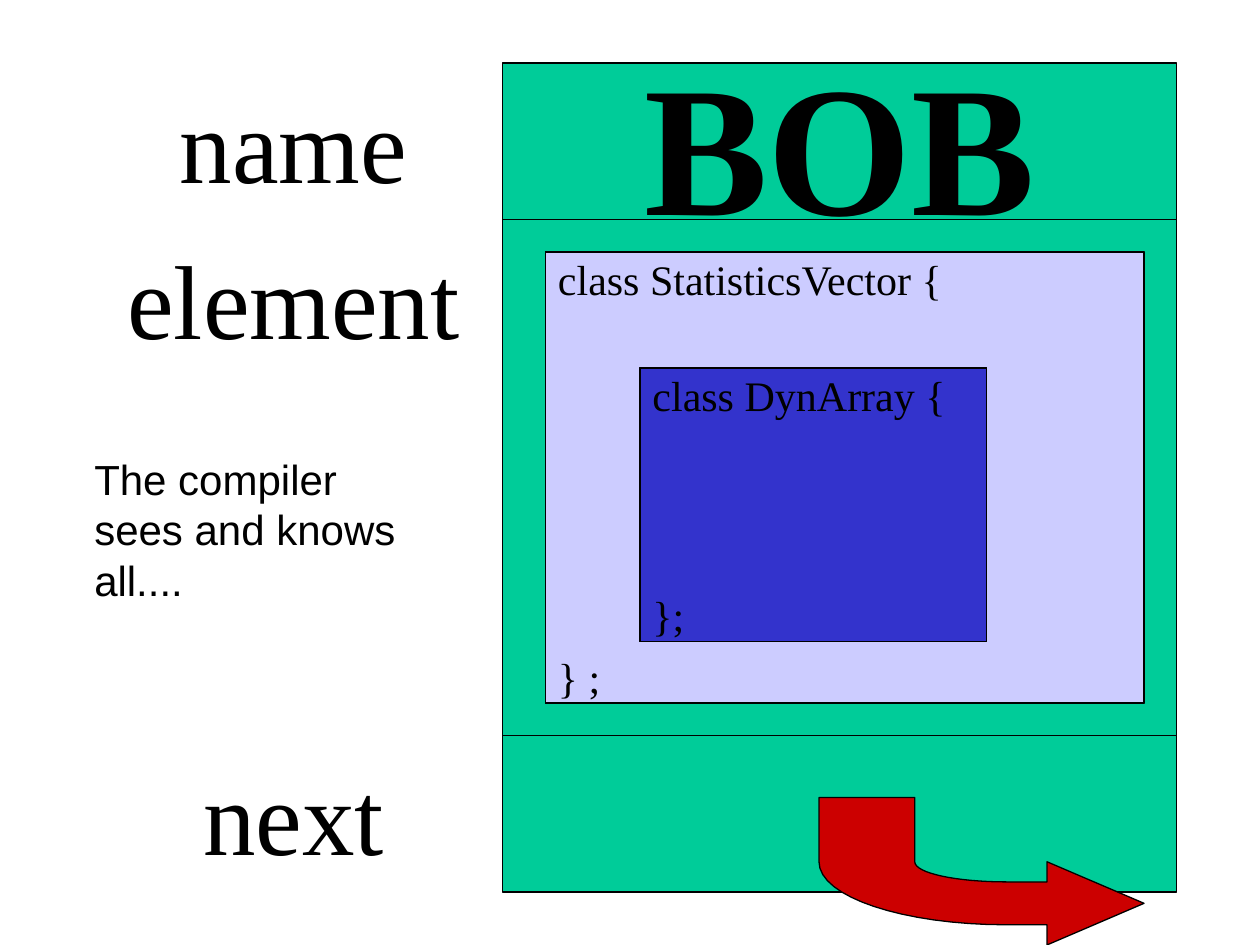
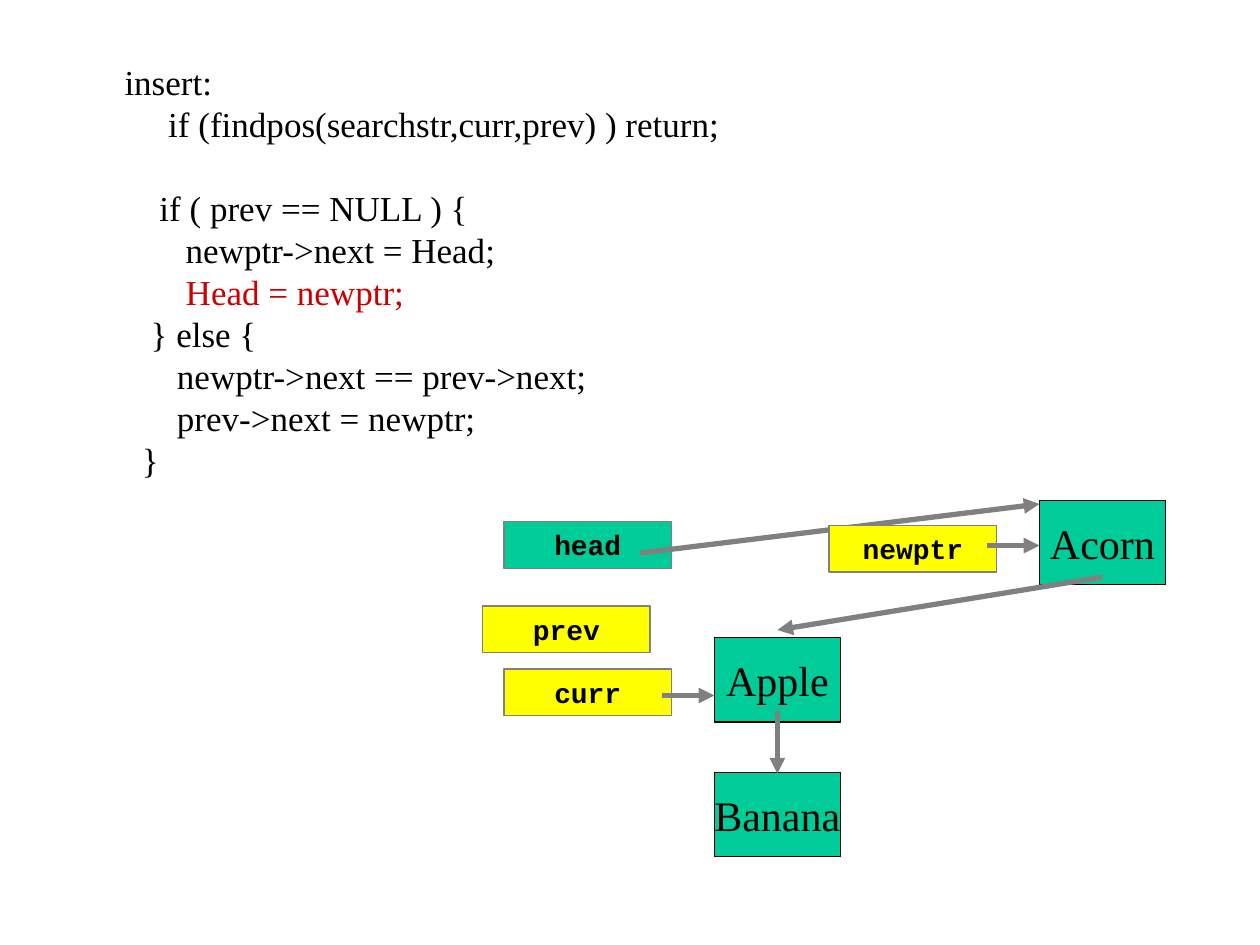
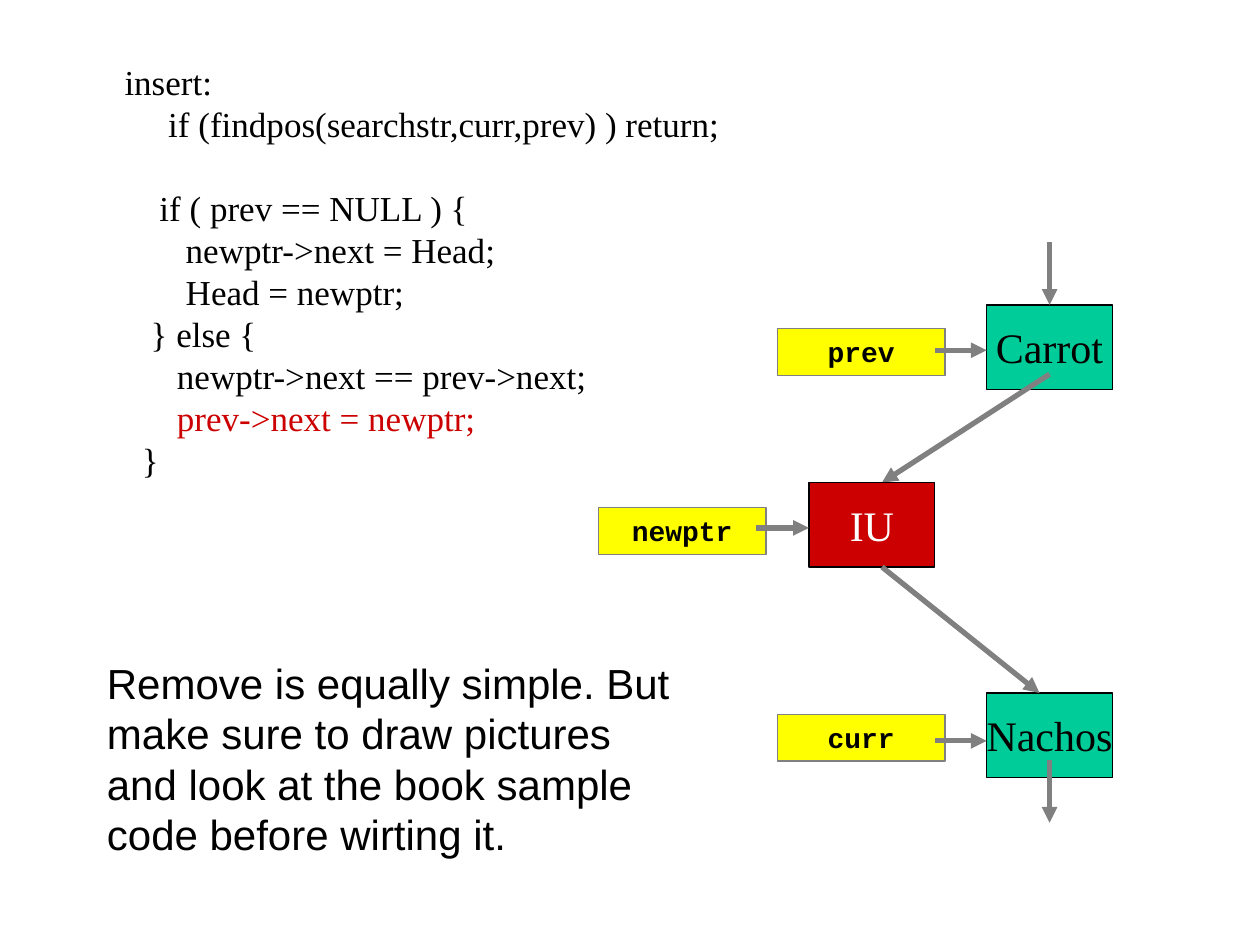
from dataclasses import dataclass

from lxml.etree import SubElement
from pptx import Presentation
from pptx.dml.color import RGBColor
from pptx.enum.shapes import MSO_CONNECTOR, MSO_SHAPE
from pptx.enum.text import MSO_ANCHOR, MSO_AUTO_SIZE, PP_ALIGN
from pptx.oxml.ns import qn
from pptx.shapes.base import BaseShape
from pptx.shapes.shapetree import GroupShapes, SlideShapes
from pptx.slide import Slide
from pptx.util import Inches, Pt

GREEN = "00CC99"
YELLOW = "FFFF00"
RED = "CC0000"
LAVENDER = "CCCCFF"
BLUE = "3333CC"
GRAY = "808080"
BLACK = "000000"
WHITE = "FFFFFF"

SERIF = "Times New Roman"
SANS = "Arial"
MONO = "Courier New"
LINE_HEIGHT = 1.2

Point = tuple[float, float]
ShapeTree = SlideShapes | GroupShapes


@dataclass(frozen=True)
class Area:
    left: float
    top: float
    width: float
    height: float


@dataclass(frozen=True)
class TextStyle:
    size: float
    font: str = SERIF
    color: str = BLACK
    bold: bool = False
    align: PP_ALIGN = PP_ALIGN.LEFT
    anchor: MSO_ANCHOR = MSO_ANCHOR.MIDDLE
    wrap: bool = True
    grow: bool = False


@dataclass(frozen=True)
class Node:
    text: str
    left: float
    top: float
    fill: str = GREEN
    color: str = BLACK


@dataclass(frozen=True)
class Pointer:
    name: str
    left: float
    top: float
    fill: str = YELLOW


@dataclass(frozen=True)
class Arrow:
    start: Point
    end: Point


FIELD_NAME = TextStyle(60, align=PP_ALIGN.CENTER, wrap=False)
BIG_NAME = TextStyle(106, bold=True, align=PP_ALIGN.CENTER, wrap=False)
CLASS_LINE = TextStyle(24)
REMARK = TextStyle(24, SANS, anchor=MSO_ANCHOR.TOP, grow=True)
CODE = TextStyle(20, anchor=MSO_ANCHOR.TOP, wrap=False, grow=True)
POINTER_NAME = TextStyle(16, MONO, bold=True, align=PP_ALIGN.CENTER,
                         anchor=MSO_ANCHOR.TOP, grow=True)

INSERT_CODE = """insert:
     if (findpos(searchstr,curr,prev) ) return;

    if ( prev == NULL ) {
       newptr->next = Head;
       Head = newptr;
   } else {
      newptr->next == prev->next;
      prev->next = newptr;
  }"""

ACORN_LIST = [
    Node("Banana", 5.67, 6.13),
    Node("Apple", 5.67, 5.06),
    Pointer("head", 4, 4.14, GREEN),
    Arrow((5.08, 4.39), (8.25, 4)),
    Arrow((6.17, 5.64), (6.17, 6.14)),
    Pointer("prev", 3.83, 4.81),
    Pointer("curr", 4, 5.31),
    Arrow((5.25, 5.52), (5.67, 5.52)),
    Node("Acorn", 8.25, 3.97),
    Pointer("newptr", 6.58, 4.17),
    Arrow((7.83, 4.33), (8.25, 4.33)),
    Arrow((8.75, 4.58), (6.17, 5)),
]

CARROT_LIST = [
    Node("Nachos", 7.83, 5.5),
    Node("Carrot", 7.83, 2.42),
    Pointer("prev", 6.17, 2.61),
    Arrow((8.33, 6.03), (8.33, 6.53)),
    Arrow((8.33, 1.92), (8.33, 2.42)),
    Arrow((8.33, 2.97), (7, 3.83)),
    Pointer("curr", 6.17, 5.67),
    Arrow((7.42, 5.88), (7.83, 5.88)),
    Arrow((7.42, 2.78), (7.83, 2.78)),
    Node("IU", 6.42, 3.83, RED, WHITE),
    Pointer("newptr", 4.75, 4.03),
    Arrow((6, 4.19), (6.42, 4.19)),
    Arrow((7, 4.5), (8.25, 5.5)),
]


def rgb(color: str) -> RGBColor:
    return RGBColor.from_string(color)


def place(area: Area) -> tuple:
    return (Inches(area.left), Inches(area.top),
            Inches(area.width), Inches(area.height))


def paint(shape: BaseShape, fill: str | None, line: str | None) -> None:
    shape.shadow.inherit = False
    if fill:
        shape.fill.solid()
        shape.fill.fore_color.rgb = rgb(fill)
    else:
        shape.fill.background()
    if line:
        shape.line.color.rgb = rgb(line)
        shape.line.width = Pt(0.75)
    else:
        shape.line.fill.background()


def write(shape: BaseShape, text: str, style: TextStyle) -> None:
    text_frame = shape.text_frame
    text_frame.text = text
    text_frame.word_wrap = style.wrap
    text_frame.vertical_anchor = style.anchor
    if style.grow:
        text_frame.auto_size = MSO_AUTO_SIZE.SHAPE_TO_FIT_TEXT
    for paragraph in text_frame.paragraphs:
        paragraph.alignment = style.align
        paragraph.line_spacing = Pt(style.size * LINE_HEIGHT)
        for run in paragraph.runs:
            run.font.name = style.font
            run.font.size = Pt(style.size)
            run.font.bold = style.bold
            run.font.color.rgb = rgb(style.color)


def add_box(shapes: ShapeTree, area: Area, fill: str | None,
            line: str | None = BLACK) -> BaseShape:
    shape = shapes.add_shape(MSO_SHAPE.RECTANGLE, *place(area))
    paint(shape, fill, line)
    return shape


def add_text(slide: Slide, area: Area, text: str, style: TextStyle) -> BaseShape:
    shape = slide.shapes.add_textbox(*place(area))
    write(shape, text, style)
    return shape


def add_arrow(slide: Slide, arrow: Arrow) -> None:
    ends = [Inches(value) for value in (*arrow.start, *arrow.end)]
    connector = slide.shapes.add_connector(MSO_CONNECTOR.STRAIGHT, *ends)
    connector.line.color.rgb = rgb(GRAY)
    connector.line.width = Pt(3)
    SubElement(connector.line._get_or_add_ln(), qn("a:tailEnd"), type="triangle")
    SubElement(connector._element.spPr, qn("a:effectLst"))


def add_list(slide: Slide, items: list[Node | Pointer | Arrow]) -> None:
    for item in items:
        if isinstance(item, Arrow):
            add_arrow(slide, item)
        elif isinstance(item, Node):
            box = add_box(slide.shapes, Area(item.left, item.top, 1, 0.67), item.fill)
            write(box, item.text, TextStyle(24, color=item.color,
                                            align=PP_ALIGN.CENTER, wrap=False))
        else:
            box = add_box(slide.shapes, Area(item.left, item.top, 1.33, 0.37),
                          item.fill, GRAY)
            write(box, item.name, POINTER_NAME)


def add_insert_code(slide: Slide, current_line: str) -> None:
    before_gap, after_gap = INSERT_CODE.split("\n\n")
    code = add_text(slide, Area(0.89, 0.43, 4.94, 3.44),
                    f"{before_gap}\n{after_gap}", CODE)
    paragraphs = code.text_frame.paragraphs
    gap_index = len(before_gap.splitlines())
    paragraphs[gap_index].space_before = Pt(CODE.size * LINE_HEIGHT)
    for paragraph in paragraphs:
        if paragraph.text.strip() == current_line:
            paragraph.runs[0].font.color.rgb = rgb(RED)


def add_class_block(shapes: ShapeTree, area: Area, fill: str,
                    opening: str, closing: str) -> None:
    line_height = 0.42
    last_top = area.top + area.height - line_height
    add_box(shapes, area, fill)
    for top, text in ((area.top, opening), (last_top, closing)):
        strip = Area(area.left, top, area.width, line_height)
        write(add_box(shapes, strip, fill, None), text, CLASS_LINE)
    add_box(shapes, area, None)


def curve(start: Point, first: Point, second: Point, end: Point,
          steps: int = 16) -> list[Point]:
    points = []
    for step in range(1, steps + 1):
        t = step / steps
        weights = ((1 - t) ** 3, 3 * t * (1 - t) ** 2, 3 * t ** 2 * (1 - t), t ** 3)
        points.append(tuple(
            sum(weight * value for weight, value in zip(weights, values))
            for values in zip(start, first, second, end)
        ))
    return points


def add_next_arrow(slide: Slide) -> None:
    start = (6.5, 6.33)
    points = [
        (6.5, 6.84),
        *curve((6.5, 6.84), (6.5, 7.12), (7.17, 7.34), (7.99, 7.34)),
        (8.31, 7.34), (8.31, 7.5), (9.08, 7.17), (8.31, 6.84), (8.31, 7), (7.99, 7),
        *curve((7.99, 7), (7.59, 7), (7.26, 6.93), (7.26, 6.84)),
        (7.26, 6.33),
    ]
    builder = slide.shapes.build_freeform(Inches(start[0]), Inches(start[1]))
    builder.add_line_segments([(Inches(x), Inches(y)) for x, y in points], close=True)
    paint(builder.convert_to_shape(), RED, BLACK)


def build_bob_slide(slide: Slide) -> None:
    left, width, row_height = 3.99, 5.35, 1.24
    name_top, element_top, next_top = 0.5, 1.74, 5.84
    add_box(slide.shapes,
            Area(left, element_top, width, next_top - element_top), GREEN)
    name_box = add_box(slide.shapes, Area(left, name_top, width, row_height), GREEN)
    write(name_box, "BOB", BIG_NAME)
    add_box(slide.shapes, Area(left, next_top, width, row_height), GREEN)
    for field, top in (("element", element_top), ("name", name_top), ("next", next_top)):
        add_text(slide, Area(0.67, top, 3.32, row_height), field, FIELD_NAME)
    add_class_block(slide.shapes, Area(4.33, 2, 4.75, 3.58), LAVENDER,
                    "class StatisticsVector {", "} ;")
    group = slide.shapes.add_group_shape()
    add_class_block(group.shapes, Area(5.08, 2.92, 2.75, 2.17), BLUE,
                    "class DynArray {", "};")
    add_next_arrow(slide)
    add_text(slide, Area(0.65, 3.55, 2.6, 1.3),
             "The compiler sees and knows all....", REMARK)


def build_acorn_slide(slide: Slide) -> None:
    add_insert_code(slide, "Head = newptr;")
    add_list(slide, ACORN_LIST)


def build_carrot_slide(slide: Slide) -> None:
    add_insert_code(slide, "prev->next = newptr;")
    add_list(slide, CARROT_LIST)
    add_text(slide, Area(0.75, 5.17, 4.68, 1.7),
             "Remove is equally simple. But make sure to draw pictures and look "
             "at the book sample code before wirting it.", REMARK)


def main() -> None:
    presentation = Presentation()
    presentation.slide_width = Inches(10)
    presentation.slide_height = Inches(7.5)
    blank_layout = presentation.slide_layouts[6]
    for build in (build_bob_slide, build_acorn_slide, build_carrot_slide):
        build(presentation.slides.add_slide(blank_layout))
    presentation.save("out.pptx")


if __name__ == "__main__":
    main()
